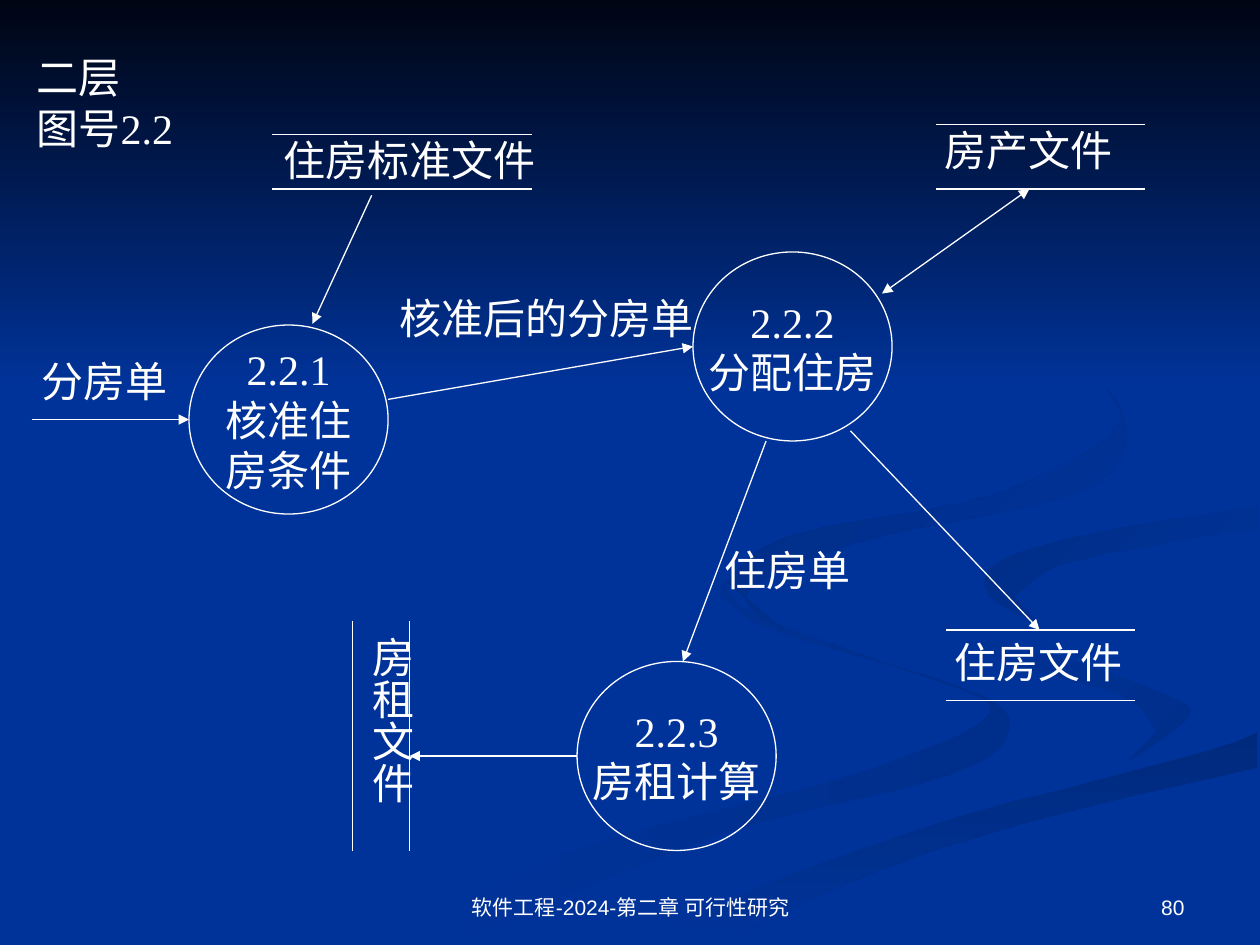
from dataclasses import dataclass
from itertools import chain

from lxml import etree
from pptx import Presentation
from pptx import util as u
from pptx.dml.color import RGBColor
from pptx.enum import shapes, text
from pptx.oxml.ns import qn


@dataclass(frozen=True)
class Theme:
    ink: str = "FFFFFF"
    background: str = "003399"
    night: str = "000514"
    label_font: str = "Times New Roman"
    footer_font: str = "Arial"
    label_size: int = 24
    footer_size: int = 12
    line_width: float = 0.75


@dataclass(frozen=True)
class Ribbon:
    """Two smooth edges, there and back, in hundredths of an inch."""
    start: str
    end: str
    angle: int
    there: tuple
    back: tuple


@dataclass(frozen=True)
class Process:
    left: float
    top: float
    label: str


@dataclass(frozen=True)
class Label:
    left: float
    top: float
    label: str
    vertical: bool = False


@dataclass(frozen=True)
class Store:
    """A data store: two parallel lines, a gap apart."""
    left: float
    top: float
    length: float
    gap: float
    vertical: bool = False


@dataclass(frozen=True)
class Flow:
    start: tuple
    end: tuple
    head: bool = False
    tail: bool = True


THEME = Theme()
BLUE = THEME.background
PROCESS_WIDTH, PROCESS_HEIGHT = 1.58, 1.5
CURVE_STEPS = 5

BEND = ((724, 464), (758, 498), (850, 524), (930, 553), (943, 570), (894, 605))
CREEK = ((998, 402), (865, 424), (791, 447), (786, 474))
SHORE = ((998, 581), (867, 620), (764, 647), (630, 693), (503, 749))
RIBBONS = (
    Ribbon(BLUE, "002E8B", 0,
           ((575, 459), (594, 485), (682, 519), (781, 553), (800, 581), (756, 614),
            (564, 665), (361, 749)),
           ((300, 749), (458, 674), (684, 613), (786, 566), (728, 535), (611, 499),
            (570, 472))),
    Ribbon(BLUE, "002E8B", 45, BEND,
           ((918, 581), (892, 553), (797, 524), (733, 488))),
    Ribbon("002A7D", BLUE, 90, SHORE, ((571, 749), (695, 692), (821, 651), (998, 609))),
    Ribbon(BLUE, BLUE, 0, ((998, 387), (851, 411), (742, 439), *BEND, (663, 668), (477, 749)),
           (*SHORE[::-1], (998, 538), (866, 509), *CREEK[::-1])),
    Ribbon("002D86", BLUE, 45, (*CREEK, (826, 496)),
           ((805, 474), (843, 448), (936, 429), (998, 420))),
    Ribbon("002B82", BLUE, 45,
           ((762, 233), (854, 283), (894, 344), (855, 391), (683, 430), (593, 470), (622, 500)),
           ((577, 462), (625, 426), (791, 392), (889, 335), (846, 279))),
    Ribbon(THEME.night, BLUE, 90, ((0, 0), (1000, 0)), ((1000, 308), (0, 308))),
)

PROCESSES = (
    Process(1.5, 2.58, "2.2.1\n核准住\n房条件"),
    Process(4.58, 5.25, "2.2.3\n房租计算"),
    Process(5.5, 2, "2.2.2\n分配住房"),
)

LABELS = (
    Label(0.23, 2.77, "分房单"),
    Label(2.15, 1.02, "住房标准文件"),
    Label(7.4, 0.94, "房产文件"),
    Label(7.48, 5, "住房文件"),
    Label(2.76, 4.95, "房租文件", vertical=True),
    Label(3.07, 2.27, "核准后的分房单"),
    Label(5.65, 4.27, "住房单"),
)

STORES = (
    Store(2.16, 1.07, 2.06, 0.43),
    Store(7.43, 0.99, 1.66, 0.51),
    Store(7.51, 5, 1.5, 0.56),
    Store(2.8, 4.93, 1.82, 0.45, vertical=True),
)

FLOWS = (
    Flow((0.25, 3.33), (1.5, 3.33)),
    Flow((3.08, 3.17), (5.5, 2.75)),
    Flow((2.95, 1.55), (2.48, 2.57)),
    Flow((7, 2.33), (8.17, 1.5), head=True),
    Flow((6.75, 3.42), (8.25, 5)),
    Flow((6.08, 3.5), (5.42, 5.25)),
    Flow((4.58, 6), (3.25, 6)),
)


def rgb(value: str) -> RGBColor:
    return RGBColor.from_string(value)


def box(*lengths: float) -> tuple:
    return tuple(u.Inches(length) for length in lengths)


def smooth(edge: tuple) -> list:
    """Run a Catmull-Rom curve through the points of an open edge."""
    padded = (edge[0], *edge, edge[-1])
    curve = []
    for around in zip(padded, padded[1:], padded[2:], padded[3:]):
        for step in range(CURVE_STEPS):
            t = step / CURVE_STEPS
            curve.append(tuple(
                b + t * (c - a + t * (2 * a - 5 * b + 4 * c - d + t * (3 * b - a - 3 * c + d))) / 2
                for a, b, c, d in zip(*around)))
    return [*curve, edge[-1]]


def write(shape, content: str, *, font=THEME.label_font, size=THEME.label_size,
          align=text.PP_ALIGN.LEFT, anchor=text.MSO_ANCHOR.TOP, wrap=False,
          fit=text.MSO_AUTO_SIZE.NONE, vertical=False) -> None:
    frame = shape.text_frame
    frame.text = content
    frame.word_wrap = wrap
    frame.auto_size = fit
    frame.vertical_anchor = anchor
    if vertical:
        frame._txBody.bodyPr.set("vert", "eaVert")
        frame.margin_left = frame.margin_right = u.Inches(0.05)
        frame.margin_top = frame.margin_bottom = u.Inches(0.1)
    for paragraph in frame.paragraphs:
        paragraph.alignment = align
        paragraph.font.name = font
        paragraph.font.size = u.Pt(size)
        paragraph.font.color.rgb = rgb(THEME.ink)


def draw_ribbon(slide, ribbon: Ribbon) -> None:
    first, *rest = chain(smooth(ribbon.there), smooth(ribbon.back))
    builder = slide.shapes.build_freeform(*first, scale=u.Inches(0.01))
    builder.add_line_segments(rest, close=True)
    outline = builder.convert_to_shape()
    outline.shadow.inherit = False
    outline.line.fill.background()
    outline.fill.gradient()
    outline.fill.gradient_angle = -ribbon.angle % 360
    for stop, color in zip(outline.fill.gradient_stops, (ribbon.start, ribbon.end)):
        stop.color.rgb = rgb(color)


def draw_process(slide, process: Process) -> None:
    circle = slide.shapes.add_shape(
        shapes.MSO_SHAPE.OVAL,
        *box(process.left, process.top, PROCESS_WIDTH, PROCESS_HEIGHT))
    circle.shadow.inherit = False
    circle.fill.background()
    circle.line.color.rgb = rgb(THEME.ink)
    circle.line.width = u.Pt(THEME.line_width)
    write(circle, process.label, align=text.PP_ALIGN.CENTER, anchor=text.MSO_ANCHOR.MIDDLE)


def draw_label(slide, item: Label) -> None:
    length = len(item.label) * THEME.label_size / 72 + 0.2
    size = (0.6, length) if item.vertical else (length, 0.5)
    label = slide.shapes.add_textbox(*box(item.left, item.top, *size))
    write(label, item.label, fit=text.MSO_AUTO_SIZE.SHAPE_TO_FIT_TEXT, vertical=item.vertical)


def draw_flow(slide, flow: Flow) -> None:
    connector = slide.shapes.add_connector(
        shapes.MSO_CONNECTOR.STRAIGHT, *box(*flow.start, *flow.end))
    connector.line.color.rgb = rgb(THEME.ink)
    connector.line.width = u.Pt(THEME.line_width)
    outline = connector.line._get_or_add_ln()
    for end, shown in (("a:headEnd", flow.head), ("a:tailEnd", flow.tail)):
        if shown:
            etree.SubElement(outline, qn(end), type="triangle")
    etree.SubElement(connector._element.spPr, qn("a:effectLst"))


def draw_store(slide, store: Store) -> None:
    for offset in (0, store.gap):
        if store.vertical:
            x, y = store.left + offset, store.top
            end = (x, y + store.length)
        else:
            x, y = store.left, store.top + offset
            end = (x + store.length, y)
        draw_flow(slide, Flow((x, y), end, tail=False))


def draw_footer(slide, left: float, width: float, content: str, align) -> None:
    footer = slide.shapes.add_textbox(*box(left, 6.83, width, 0.52))
    write(footer, content, font=THEME.footer_font, size=THEME.footer_size,
          align=align, anchor=text.MSO_ANCHOR.BOTTOM, wrap=True)


def place_title(slide) -> None:
    """Fill the title and lift it above the background ribbons."""
    title = slide.shapes.title
    title.left, title.top, title.width, title.height = box(0.19, 0.36, 1.36, 0.9)
    write(title, "二层\n图号2.2")
    slide.shapes._spTree.append(title._element)


def main() -> None:
    deck = Presentation()
    deck.slide_width, deck.slide_height = box(10, 7.5)
    slide = deck.slides.add_slide(deck.slide_layouts.get_by_name("Title Only"))
    slide.background.fill.solid()
    slide.background.fill.fore_color.rgb = rgb(BLUE)
    for ribbon in RIBBONS:
        draw_ribbon(slide, ribbon)
    place_title(slide)
    for draw, items in ((draw_process, PROCESSES), (draw_store, STORES),
                        (draw_flow, FLOWS), (draw_label, LABELS)):
        for item in items:
            draw(slide, item)
    draw_footer(slide, 3.42, 3.17, "软件工程-2024-第二章 可行性研究", text.PP_ALIGN.CENTER)
    draw_footer(slide, 7.17, 2.33, "80", text.PP_ALIGN.RIGHT)
    deck.save("out.pptx")


if __name__ == "__main__":
    main()
